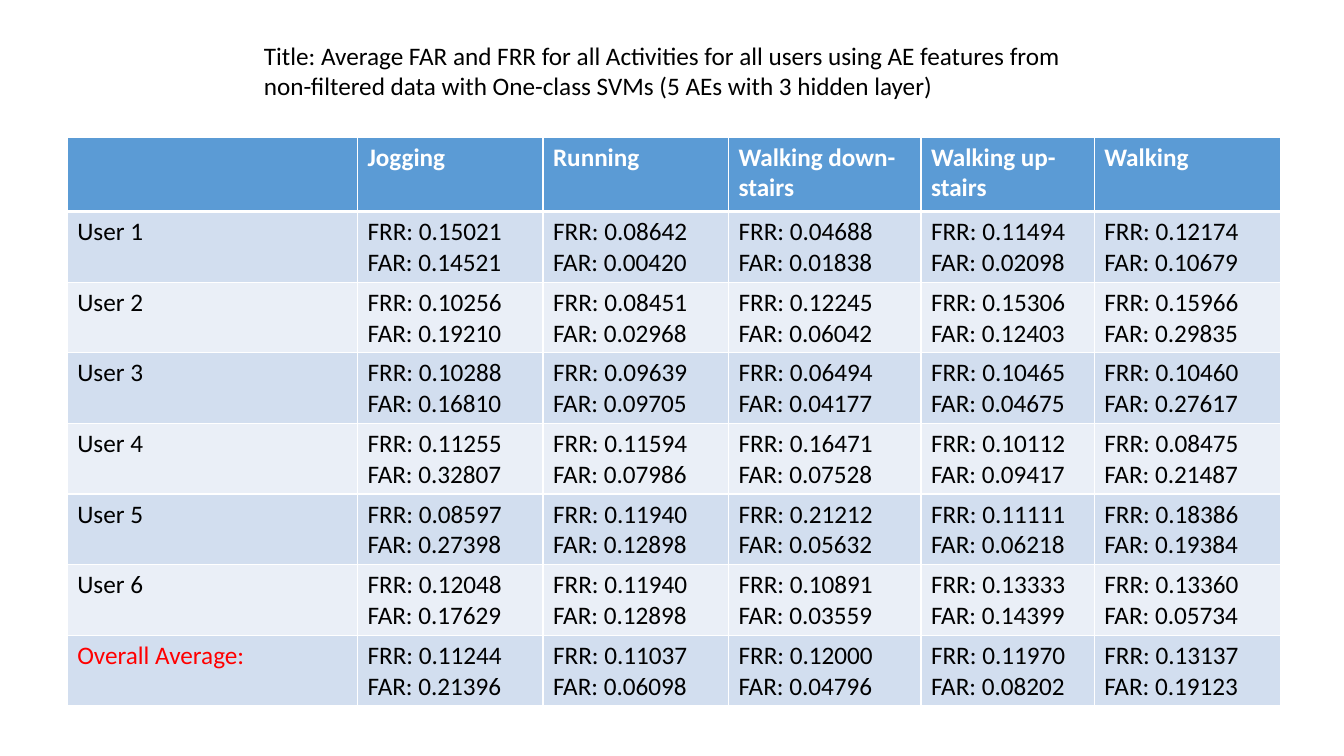
from pptx import Presentation
from pptx.dml.color import RGBColor
from pptx.enum.text import MSO_AUTO_SIZE
from pptx.oxml import parse_xml
from pptx.oxml.ns import nsdecls
from pptx.util import Pt

BLACK = RGBColor(0x00, 0x00, 0x00)
WHITE = RGBColor(0xFF, 0xFF, 0xFF)
RED = RGBColor(0xFF, 0x00, 0x00)
BLUE = RGBColor(0x5B, 0x9B, 0xD5)
BANDS = [RGBColor(0xD2, 0xDE, 0xEF), RGBColor(0xEA, 0xEF, 0xF7)]

HEADS = ["", "Jogging", "Running", "Walking down-stairs", "Walking up-stairs", "Walking"]
WIDTHS = [207.4, 132.5, 132.5, 137.5, 123.8, 133.2]

# One row per user: FRR and FAR for each activity
RATES = [
    ("User 1", "0.15021 0.14521", "0.08642 0.00420", "0.04688 0.01838",
     "0.11494 0.02098", "0.12174 0.10679"),
    ("User 2", "0.10256 0.19210", "0.08451 0.02968", "0.12245 0.06042",
     "0.15306 0.12403", "0.15966 0.29835"),
    ("User 3", "0.10288 0.16810", "0.09639 0.09705", "0.06494 0.04177",
     "0.10465 0.04675", "0.10460 0.27617"),
    ("User 4", "0.11255 0.32807", "0.11594 0.07986", "0.16471 0.07528",
     "0.10112 0.09417", "0.08475 0.21487"),
    ("User 5", "0.08597 0.27398", "0.11940 0.12898", "0.21212 0.05632",
     "0.11111 0.06218", "0.18386 0.19384"),
    ("User 6", "0.12048 0.17629", "0.11940 0.12898", "0.10891 0.03559",
     "0.13333 0.14399", "0.13360 0.05734"),
    ("Overall Average:", "0.11244 0.21396", "0.11037 0.06098", "0.12000 0.04796",
     "0.11970 0.08202", "0.13137 0.19123"),
]


def write(frame, lines, color, bold=False):
    for i, line in enumerate(lines):
        para = frame.add_paragraph() if i else frame.paragraphs[0]
        para.font.size = Pt(18)
        if line:
            run = para.add_run()
            run.text = line
            run.font.name = "Calibri"
            run.font.size = Pt(18)
            run.font.bold = bold
            run.font.color.rgb = color


def style(cell, fill, top, bottom):
    props = cell._tc.get_or_add_tcPr()
    for side, width in (("L", 1), ("R", 1), ("T", top), ("B", bottom)):
        props.append(parse_xml(
            f'<a:ln{side} {nsdecls("a")} w="{Pt(width)}"><a:solidFill>'
            f'<a:srgbClr val="{WHITE}"/></a:solidFill></a:ln{side}>'))
    cell.fill.solid()
    cell.fill.fore_color.rgb = fill


deck = Presentation()
deck.slide_width, deck.slide_height = Pt(960), Pt(540)
slide = deck.slides.add_slide(deck.slide_layouts[6])

# Title
title = slide.shapes.add_textbox(Pt(181.4), Pt(25.2), Pt(585.4), Pt(51)).text_frame
title.word_wrap = True
title.auto_size = MSO_AUTO_SIZE.SHAPE_TO_FIT_TEXT
write(title, ["Title: Average FAR and FRR for all Activities for all users using AE "
              "features from non-filtered data with One-class SVMs "
              "(5 AEs with 3 hidden layer)"], BLACK)

# Table frame
table = slide.shapes.add_table(len(RATES) + 1, len(HEADS), Pt(48), Pt(98),
                               Pt(sum(WIDTHS)), Pt(406)).table
for col, width in zip(table.columns, WIDTHS):
    col.width = Pt(width)
for row in table.rows:
    row.height = Pt(50.4)
table.rows[0].height = Pt(53.2)

# Header row
for c, head in enumerate(HEADS):
    cell = table.cell(0, c)
    style(cell, BLUE, 1, 3)
    write(cell.text_frame, [head], WHITE, True)

# Body rows, the last one labelled in red
for r, (user, *pairs) in enumerate(RATES, 1):
    color = RED if r == len(RATES) else BLACK
    write(table.cell(r, 0).text_frame, [user], color)
    for c, pair in enumerate(pairs, 1):
        frr, far = pair.split()
        write(table.cell(r, c).text_frame, [f"FRR: {frr}", f"FAR: {far}"], BLACK)
    for cell in table.rows[r].cells:
        style(cell, BANDS[(r - 1) % 2], 3 if r == 1 else 1, 1)

deck.save("out.pptx")
